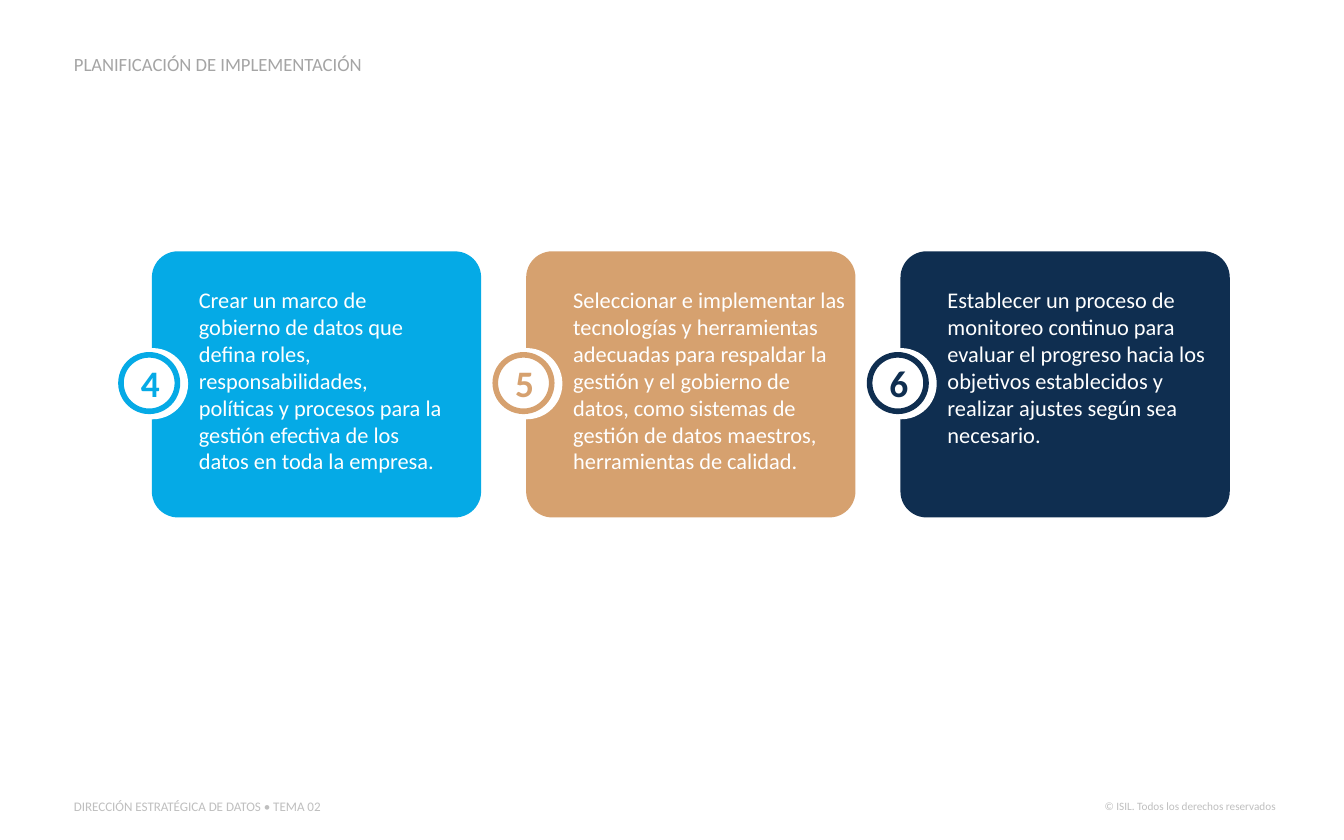
from pptx import Presentation
from pptx.dml.color import RGBColor
from pptx.enum.shapes import MSO_SHAPE
from pptx.enum.text import MSO_ANCHOR, MSO_AUTO_SIZE, PP_ALIGN
from pptx.util import Inches, Pt

COLORS = {
    "white": "FFFFFF",
    "title": "A5A5A5",
    "footer": "BFBFBF",
    "blue": "05AAE6",
    "sand": "D6A16F",
    "navy": "0F2E50",
}

# Number, colour, text width and wording of each step
STEPS = [
    ("4", "blue", 1.84,
     "Crear un marco de gobierno de datos que defina roles, responsabilidades, "
     "políticas y procesos para la gestión efectiva de los datos en toda la empresa."),
    ("5", "sand", 2.05,
     "Seleccionar e implementar las tecnologías y herramientas adecuadas para "
     "respaldar la gestión y el gobierno de datos, como sistemas de gestión de "
     "datos maestros, herramientas de calidad."),
    ("6", "navy", 1.94,
     "Establecer un proceso de monitoreo continuo para evaluar el progreso hacia "
     "los objetivos establecidos y realizar ajustes según sea necesario."),
]
STEP_PITCH = 2.785


def rgb(name):
    return RGBColor.from_string(COLORS[name])


def write_text(shape, text, size, color, bold=False, align=PP_ALIGN.LEFT,
               anchor=MSO_ANCHOR.TOP, margins=(0, 0, 0, 0)):
    frame = shape.text_frame
    left, top, right, bottom = (Inches(margin) for margin in margins)
    frame_format = {
        "word_wrap": True, "auto_size": MSO_AUTO_SIZE.NONE,
        "vertical_anchor": anchor, "margin_left": left, "margin_top": top,
        "margin_right": right, "margin_bottom": bottom,
    }
    for name, value in frame_format.items():
        setattr(frame, name, value)
    para = frame.paragraphs[0]
    para.alignment = align
    span = para.add_run()
    span.text = text
    for name, value in {"name": "Calibri", "size": Pt(size), "bold": bold}.items():
        setattr(span.font, name, value)
    span.font.color.rgb = rgb(color)
    return para


def add_text(page, box, text, size, color, **options):
    shape = page.shapes.add_textbox(*(Inches(length) for length in box))
    write_text(shape, text, size, color, **options)


def add_filled(page, kind, box, fill, line=None):
    shape = page.shapes.add_shape(kind, *(Inches(length) for length in box))
    shape.shadow.inherit = False
    shape.fill.solid()
    shape.fill.fore_color.rgb = rgb(fill)
    if line:
        shape.line.color.rgb = rgb(line)
        shape.line.width = Pt(3)
    else:
        shape.line.fill.background()
    return shape


def place_title(page, box):
    title = page.shapes.title
    title.left, title.top, title.width, title.height = (Inches(length) for length in box)
    para = write_text(title, "PLANIFICACIÓN DE IMPLEMENTACIÓN", 10, "title",
                      anchor=MSO_ANCHOR.BOTTOM)
    para.line_spacing = 0.9


def add_footer(page, box):
    left, top, width, height = box
    add_text(page, (left, top, 3.06, height),
             "DIRECCIÓN ESTRATÉGICA DE DATOS • TEMA 02", 7, "footer",
             margins=(0, 0.05, 0.1, 0.05))
    add_text(page, (left + width - 1.5, top + 0.01, 1.5, 0.2),
             "© ISIL. Todos los derechos reservados", 6, "footer",
             align=PP_ALIGN.RIGHT, margins=(0, 0.05, 0.1, 0.05))


def add_step(page, box, number, color, text_width, text):
    left, top, width, height = box
    # Card, with the white disc that cuts into its left side
    card = add_filled(page, MSO_SHAPE.ROUNDED_RECTANGLE, box, color)
    card.adjustments[0] = 0.098
    add_filled(page, MSO_SHAPE.OVAL, (left - 0.26, top + 0.72, 0.53, 0.53), "white")
    add_text(page, (left + 0.35, top + 0.26, text_width, height - 0.57),
             text, 12, "white")
    # Numbered ring
    add_filled(page, MSO_SHAPE.OVAL, (left - 0.23, top + 0.77, 0.42, 0.42),
               "white", line=color)
    add_text(page, (left - 0.18, top + 0.76, 0.24, 0.44), number, 20, color,
             bold=True, margins=(0.1, 0.05, 0, 0.05))


def main():
    deck = Presentation()
    deck.slide_width, deck.slide_height = Inches(10), Inches(6.25)
    page = deck.slides.add_slide(deck.slide_layouts[5])
    place_title(page, (0.55, 0.41, 4.05, 0.15))
    for index, step in enumerate(STEPS):
        add_step(page, (1.13 + index * STEP_PITCH, 1.87, 2.45, 1.98), *step)
    add_footer(page, (0.55, 5.89, 9.04, 0.22))
    deck.save("out.pptx")


if __name__ == "__main__":
    main()
